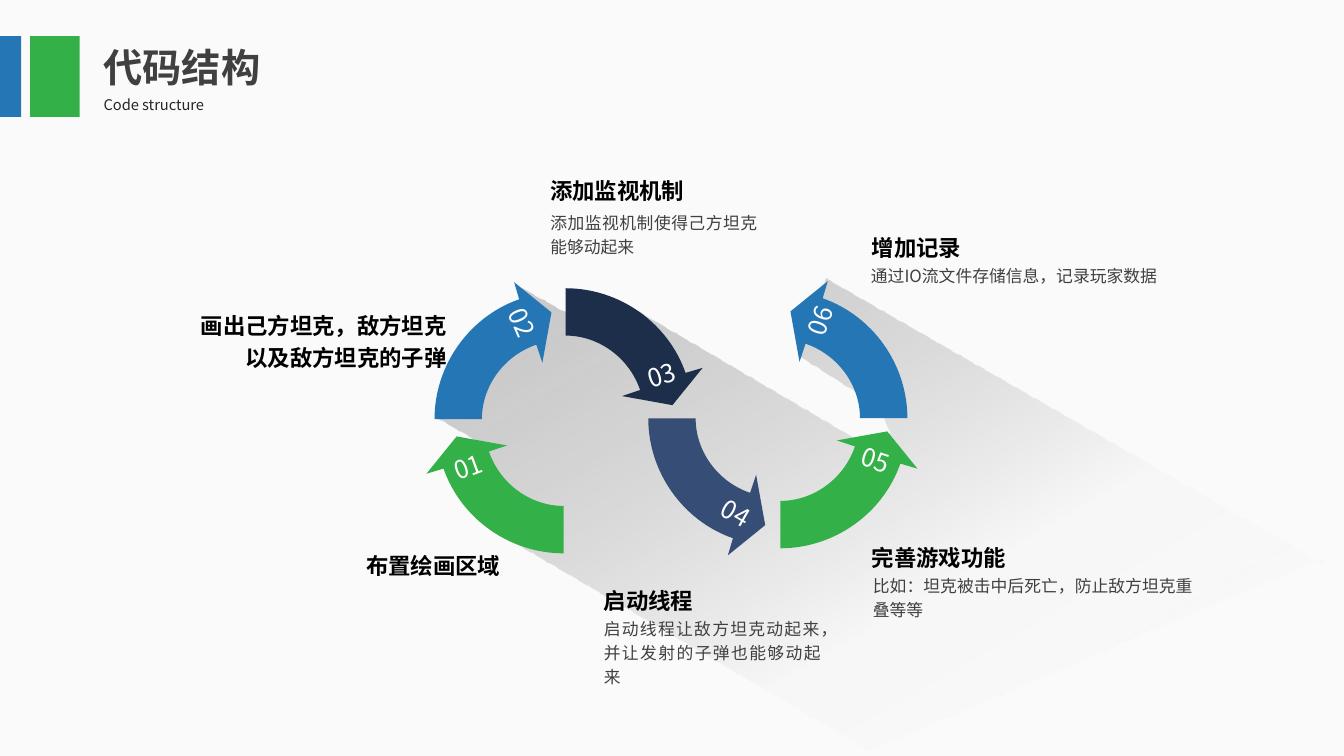
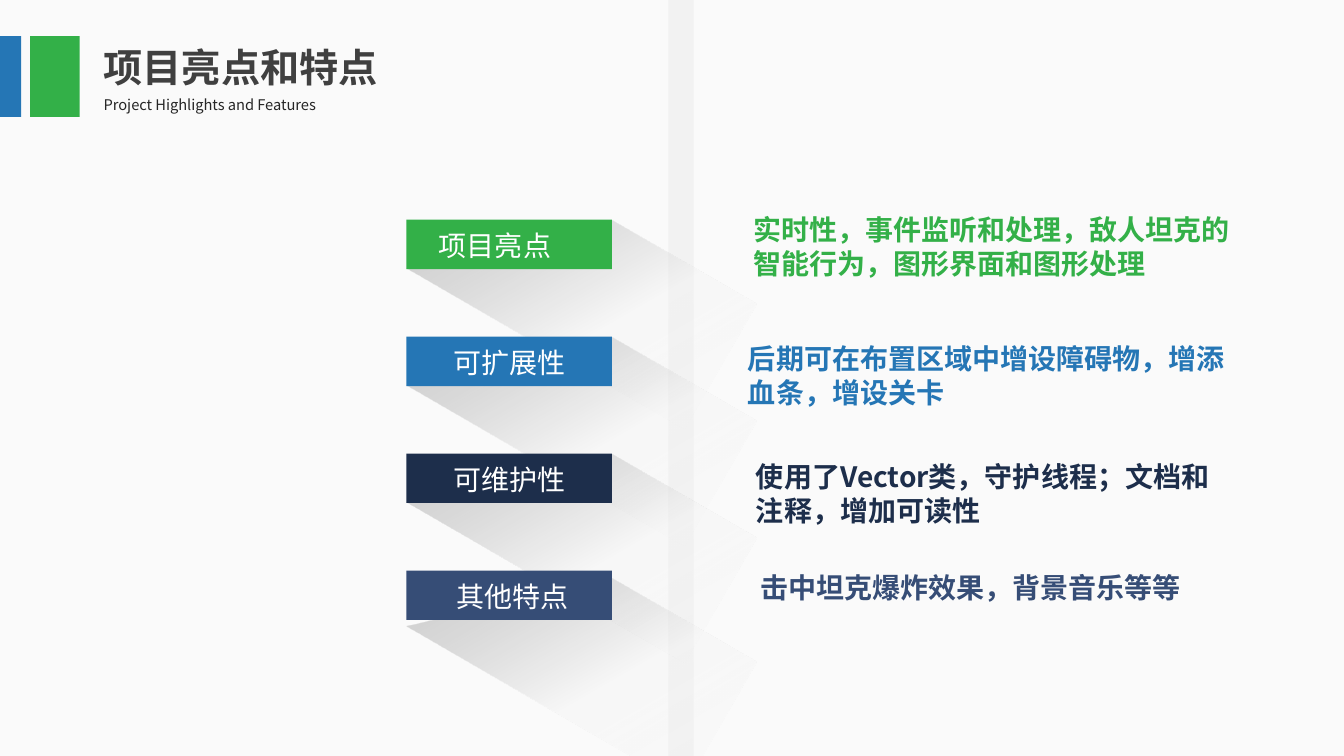
from lxml.etree import SubElement
from pptx import Presentation
from pptx.dml.color import RGBColor
from pptx.enum.shapes import MSO_SHAPE as Shape
from pptx.enum.text import MSO_AUTO_SIZE as Auto, PP_ALIGN as Align
from pptx.oxml.ns import qn
from pptx.util import Inches, Pt

FONT = "Noto Sans CJK SC"
GREEN, BLUE, NAVY, SLATE = "33B048", "2576B5", "1D2E4B", "364D76"
BACK, BAND, WHITE, BLACK = "FAFAFA", "F2F2F2", "FFFFFF", "000000"
GRAY, INK = "404040", "262626"
FADE = [(0, BLACK, 20), (61, BAND, 34), (100, BAND, 0)]

STEPS = [
    ("04", SLATE, (7.69, 4.15), (0, -1, -1, 0), (7.06, 4.89), 30),
    ("05", GREEN, (7.74, 4.18), (-1, 0, 0, 1), (8.45, 4.36), 18.3),
    ("06", BLUE, (7.74, 4.15), (0, 1, 1, 0), (7.89, 2.98), 289.3),
    ("03", NAVY, (5.61, 4.12), (-1, 0, 0, -1), (6.32, 3.52), 341.9),
    ("01", GREEN, (5.59, 4.23), (1, 0, 0, 1), (4.40, 4.43), 339.6),
    ("02", BLUE, (5.57, 4.16), (0, -1, 1, 0), (4.94, 3.00), 66.7),
]
ARROW = [
    (-1.06, 0.10), (-1.36, 0.47), (-1.19, 0.42),
    (-1.02, 0.91), (-0.54, 1.26), (0, 1.26), (0, 0.79),
    (-0.33, 0.79), (-0.63, 0.57), (-0.74, 0.25), (-0.56, 0.19),
]
BENDS = (2, 6)

HEADS = [
    ("增加记录", (8.55, 2.22, 2.24, 0.42), Align.JUSTIFY),
    ("完善游戏功能", (8.55, 5.3, 2.24, 0.42), Align.JUSTIFY),
    ("画出己方坦克，敌方坦克以及敌方坦克的子弹", (1.77, 2.99, 2.76, 0.75), Align.RIGHT),
    ("布置绘画区域", (2.82, 5.38, 2.24, 0.42), Align.RIGHT),
    ("添加监视机制", (5.36, 1.65, 2.04, 0.42), Align.JUSTIFY),
    ("启动线程", (5.89, 5.72, 1.56, 0.42), Align.JUSTIFY),
]
NOTES = [
    ("通过IO流文件存储信息，记录玩家数据", (8.54, 2.55, 3.37, 0.34)),
    ("比如：坦克被击中后死亡，防止敌方坦克重叠等等", (8.56, 5.62, 3.37, 0.58)),
    ("添加监视机制使得己方坦克能够动起来", (5.36, 2.02, 2.25, 0.58)),
    ("启动线程让敌方坦克动起来，并让发射的子弹也能够动起来", (5.89, 6.05, 2.35, 0.83)),
]
FLOW = [
    (13.14, 5.6), (13.14, 5.52), (8.62, 7.44), (4.95, 5.29), (4.78, 4.4),
    (4.33, 4.14), (5.16, 3.14), (5.29, 3.08), (5.13, 2.83), (6.03, 3.33),
    (6.32, 3.08), (8.67, 4.46), (8.83, 4.29), (8.71, 4.03), (7.94, 3.54),
    (8.19, 2.76),
]

TRAITS = [
    ("项目亮点", 4.91, GREEN, "实时性，事件监听和处理，敌人坦克的智能行为，图形界面和图形处理",
     (7.37, 2.06, 5.12, 0.77), 0),
    ("可扩展性", 5.05, BLUE, "后期可在布置区域中增设障碍物，增添血条，增设关卡",
     (7.32, 3.34, 4.95, 0.77), 0),
    ("可维护性", 5.05, NAVY, "使用了Vector类，守护线程；文档和注释，增加可读性",
     (7.4, 4.51, 4.76, 0.77), 0),
    ("其他特点", 5.08, SLATE, "击中坦克爆炸效果，背景音乐等等",
     (7.44, 5.61, 4.76, 0.44), 0.07),
]
LEFT, TOP, STEP, WIDE, HIGH = 4.03, 2.18, 1.16, 2.04, 0.49
CAST = [(0.15, 1.37), (1.68, -0.06), (3.33, -0.06), (3.33, 1.37)]


def tint(code):
    return RGBColor.from_string(code)


def paint(shape, color):
    shape.shadow.inherit = False
    shape.line.fill.background()
    shape.fill.solid()
    shape.fill.fore_color.rgb = tint(color)


def fade(shape, turn=0):
    shape.rotation = turn
    shape.shadow.inherit = False
    shape.line.fill.background()
    shape.fill.gradient()
    grad = shape.fill._fill._gradFill
    grad.set("rotWithShape", "0")
    for kid in list(grad):
        grad.remove(kid)
    stops = SubElement(grad, qn("a:gsLst"))
    for pos, color, alpha in FADE:
        stop = SubElement(stops, qn("a:gs"), pos=str(pos * 1000))
        clr = SubElement(stop, qn("a:srgbClr"), val=color)
        SubElement(clr, qn("a:alpha"), val=str(alpha * 1000))
    SubElement(grad, qn("a:lin"), ang=str(60 * 60000), scaled="0")


def rect(slide, box, color):
    shape = slide.shapes.add_shape(Shape.RECTANGLE, *map(Inches, box))
    paint(shape, color)


def outline(slide, points):
    dots = [(Inches(x), Inches(y)) for x, y in points]
    form = slide.shapes.build_freeform(*dots[0])
    form.add_line_segments(dots[1:], close=True)
    return form.convert_to_shape()


def write(slide, text, box, size=12, color=BLACK, bold=False, align=None,
          space=None, wrap=True, turn=0):
    shape = slide.shapes.add_textbox(*map(Inches, box))
    shape.rotation = turn
    frame = shape.text_frame
    frame.word_wrap = wrap
    if wrap:
        frame.auto_size = Auto.SHAPE_TO_FIT_TEXT
    para = frame.paragraphs[0]
    para.alignment = align
    para.line_spacing = space
    run = para.add_run()
    run.text = text
    font = run.font
    font.name, font.size, font.bold = FONT, Pt(size), bold
    font.color.rgb = tint(color)
    SubElement(run._r.get_or_add_rPr(), qn("a:ea"), typeface=FONT)


def arrow(slide, color, center, flip):
    a, b, c, d = flip
    cx, cy = center
    shape = outline(slide, [(cx + a * x + b * y, cy + c * x + d * y) for x, y in ARROW])
    lines = list(shape._element.iter(qn("a:lnTo")))
    for first in BENDS:
        curve = SubElement(lines[first].getparent(), qn("a:cubicBezTo"))
        lines[first].addprevious(curve)
        for line in lines[first:first + 3]:
            curve.append(line[0])
            line.getparent().remove(line)
    paint(shape, color)


def start(deck, title, sub):
    slide = deck.slides.add_slide(deck.slide_layouts[6])
    fill = slide.background.fill
    fill.solid()
    fill.fore_color.rgb = tint(BACK)
    rect(slide, (0.3, 0.36, 0.49, 0.8), GREEN)
    rect(slide, (0, 0.36, 0.21, 0.8), BLUE)
    write(slide, title, (0.93, 0.38, 3.6, 0.57), size=28, color=GRAY, bold=True)
    write(slide, sub, (0.93, 0.87, 5.34, 0.3), size=10.5, color=INK, space=1.2)
    return slide


def code(deck):
    slide = start(deck, "代码结构", "Code structure")
    fade(outline(slide, FLOW))
    for num, color, center, flip, spot, turn in STEPS:
        arrow(slide, color, center, flip)
    for num, color, center, flip, spot, turn in STEPS:
        write(slide, num, (*spot, 0.48, 0.4), size=18, color=WHITE,
              align=Align.CENTER, wrap=False, turn=turn)
    for text, box, align in HEADS:
        write(slide, text, box, size=16, bold=True, align=align, space=1.2)
    for text, box in NOTES:
        write(slide, text, box, color=GRAY, align=Align.JUSTIFY, space=1.2)


def traits(deck):
    slide = start(deck, "项目亮点和特点", "Project Highlights and Features")
    rect(slide, (6.63, 0, 0.25, 7.5), BAND)
    for i, trait in enumerate(TRAITS):
        top = TOP + i * STEP + trait[-1]
        fade(outline(slide, [(LEFT + x, top + y) for x, y in CAST]), 30)
    for i, (name, mid, color, text, box, drop) in enumerate(TRAITS):
        top = TOP + i * STEP
        rect(slide, (LEFT, top, WIDE, HIGH), color)
        write(slide, name, (mid - 0.85, top + 0.04, 1.7, 0.44), size=20,
              color=WHITE, align=Align.CENTER)
        write(slide, text, box, size=20, color=color, bold=True)


def main():
    deck = Presentation()
    deck.slide_width, deck.slide_height = Inches(13.33), Inches(7.5)
    code(deck)
    traits(deck)
    deck.save("out.pptx")


if __name__ == "__main__":
    main()
